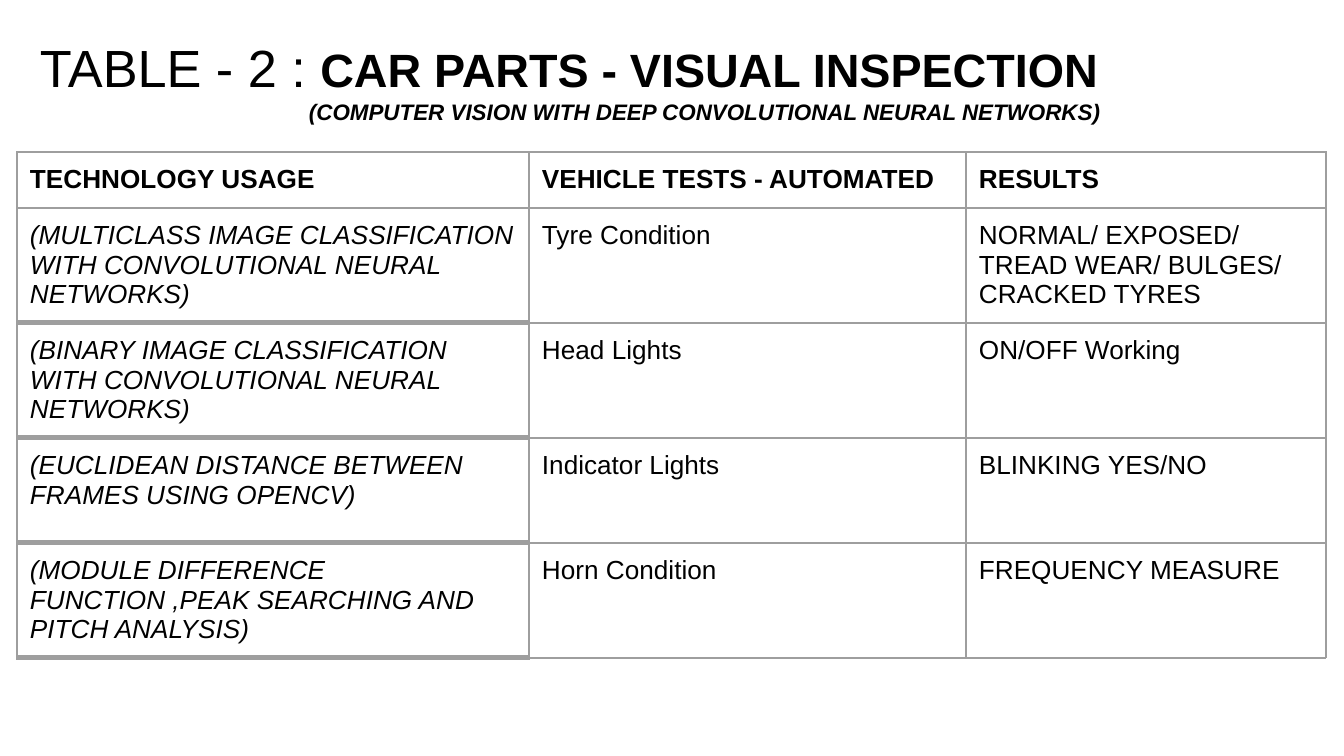
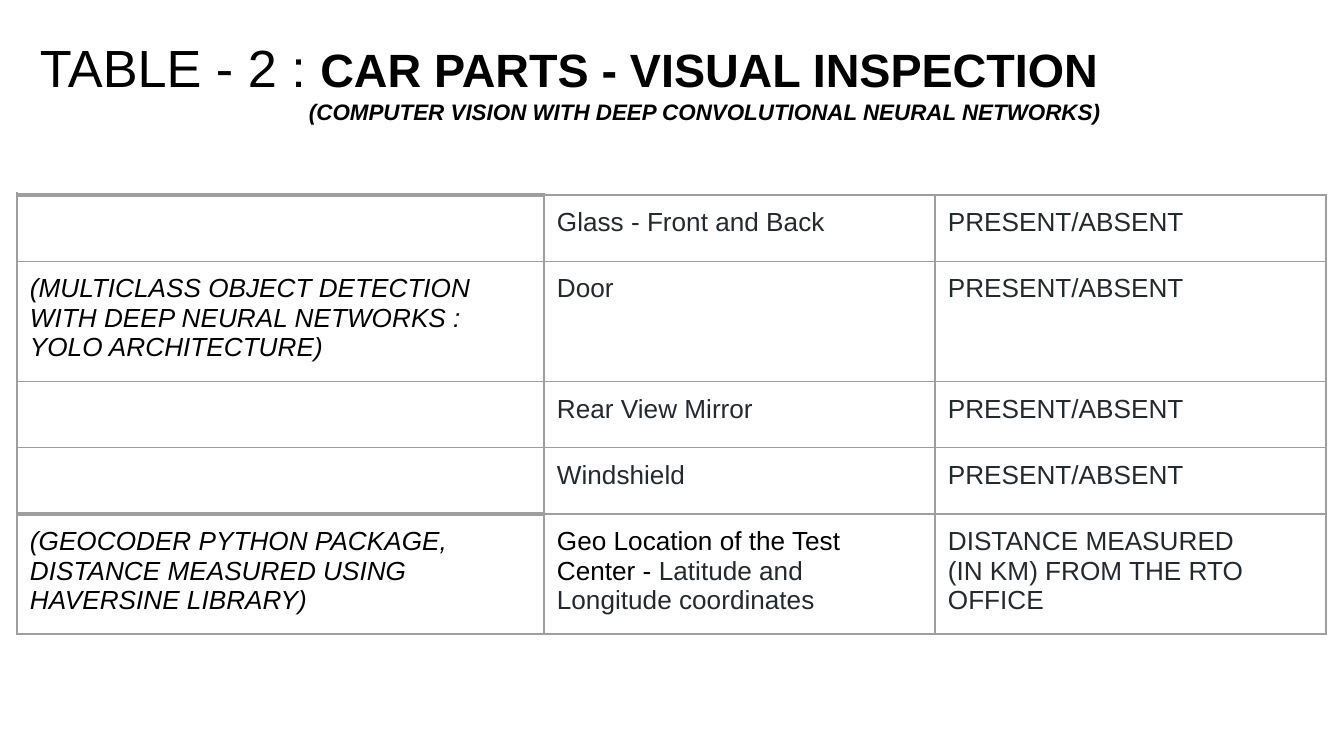
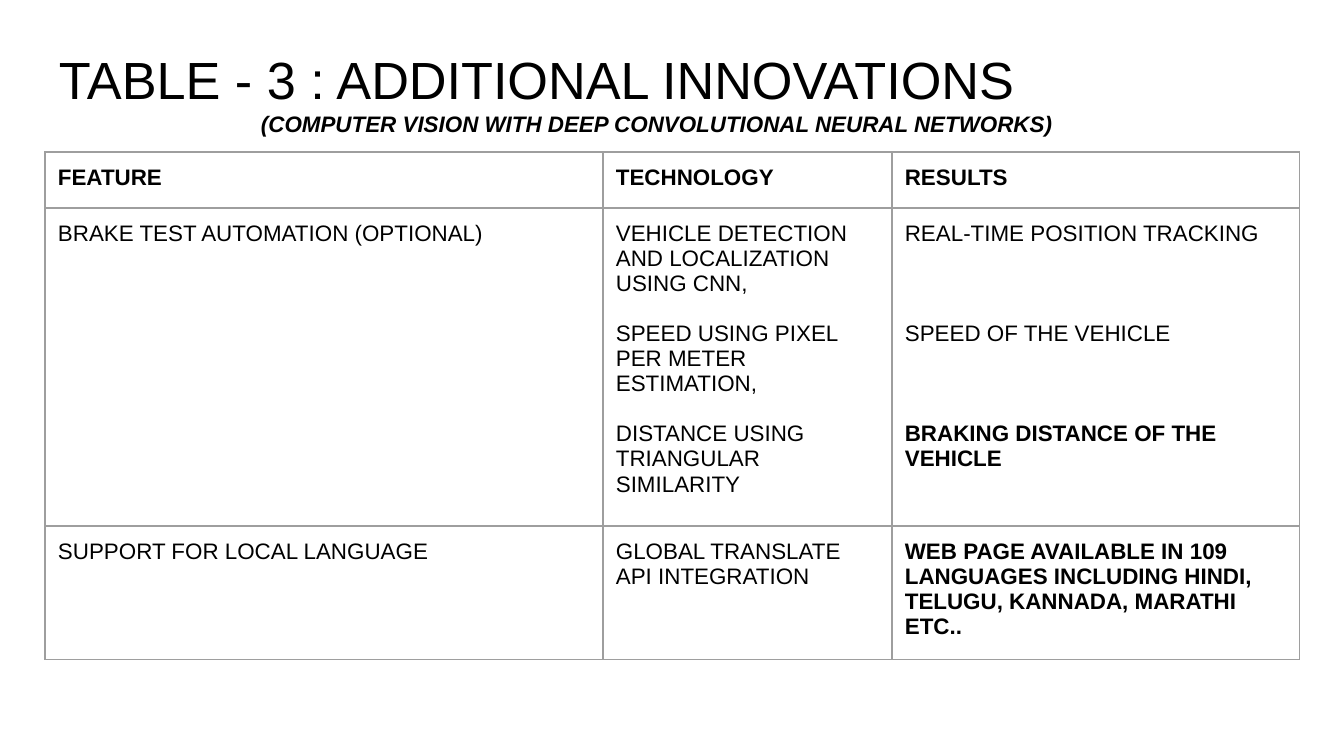
from lxml.etree import SubElement as Sub
from pptx import Presentation
from pptx.dml.color import RGBColor
from pptx.enum.text import MSO_ANCHOR as Anchor
from pptx.oxml.ns import qn
from pptx.util import Pt

SCALE = 914400 / 134.4
BLACK = RGBColor(0x00, 0x00, 0x00)
SLATE = RGBColor(0x24, 0x29, 0x2E)
GREY = RGBColor(0x9E, 0x9E, 0x9E)
FONT = "Arial"
PAD = 13
LINE = 13.4
NOTE = "(COMPUTER VISION WITH DEEP CONVOLUTIONAL NEURAL NETWORKS)"


def px(size):
    return round(size * SCALE)


def bit(text, **style):
    return text, style


def write(frame, text, size=14, bold=False, ital=False, ink=BLACK,
          gap=0, left=0, dent=0, join=False):
    para = frame.paragraphs[-1]
    if para.runs and not join:
        para = frame.add_paragraph()
    if gap:
        para.space_before = Pt(gap)
    if left:
        props = para._p.get_or_add_pPr()
        props.set("marL", str(px(left)))
        props.set("indent", str(px(dent)))
    run = para.add_run()
    run.text = text
    font = run.font
    font.name, font.size = FONT, Pt(size)
    font.bold, font.italic = bold, ital
    font.color.rgb = ink


class Deck:
    def __init__(self):
        self.show = Presentation()
        self.show.slide_width = px(1344)
        self.show.slide_height = px(756)
        self.slide = None

    def page(self):
        self.slide = self.show.slides.add_slide(self.show.slide_layouts[6])

    def title(self, box, *parts, dent=0):
        frame = self.slide.shapes.add_textbox(*map(px, box)).text_frame
        frame.word_wrap = True
        frame.vertical_anchor = Anchor.TOP
        frame.margin_left = frame.margin_right = frame.margin_bottom = px(PAD)
        frame.margin_top = px(20)
        for text, style in parts:
            write(frame, text, **style)
        write(frame, NOTE, size=12, bold=True, ital=True, left=202, dent=dent)

    def edge(self, cell, side, width):
        line = Sub(cell._tc.get_or_add_tcPr(), qn("a:ln" + side), w=str(Pt(width)))
        fill = Sub(line, qn("a:solidFill"))
        Sub(fill, qn("a:srgbClr"), val=str(GREY))

    def table(self, left, top, cols, rows, data, looks, head=False, heavy=()):
        area = map(px, (left, top, sum(cols), sum(rows)))
        grid = self.slide.shapes.add_table(len(rows), len(cols), *area).table
        grid.first_row = grid.horz_banding = False
        for col, wide in zip(grid.columns, cols):
            col.width = px(wide)
        for row, high in zip(grid.rows, rows):
            row.height = px(high)
        for r, line in enumerate(data):
            for c, parts in enumerate(line):
                cell = grid.cell(r, c)
                look = {**looks[c], "bold": True, "ital": False} if head and r == 0 else looks[c]
                self.cell(cell, parts, look)
                for side, rule in (("L", None), ("R", None), ("T", r), ("B", r + 1)):
                    self.edge(cell, side, 3 if c == 0 and rule in heavy else 0.75)
                cell.fill.background()

    def cell(self, cell, parts, look):
        cell.margin_left = cell.margin_right = px(PAD)
        cell.margin_top = cell.margin_bottom = px(PAD)
        cell.vertical_anchor = Anchor.TOP
        for part in [parts] if isinstance(parts, str) else parts:
            text, style = bit(part) if isinstance(part, str) else part
            if text:
                write(cell.text_frame, text, **{**look, **style})


def parts_title(deck):
    deck.title((27, 15, 1253, 106), bit("TABLE - 2 : ", size=28),
               bit("CAR PARTS - VISUAL INSPECTION", size=25, bold=True, join=True),
               dent=67)


def tests(deck):
    deck.page()
    deck.table(17, 152, (512, 437, 360), (56, 115, 115, 105, 115), [
        ("TECHNOLOGY USAGE", "VEHICLE TESTS - AUTOMATED", "RESULTS"),
        ("(MULTICLASS IMAGE CLASSIFICATION WITH CONVOLUTIONAL NEURAL NETWORKS)",
         "Tyre Condition", "NORMAL/ EXPOSED/ TREAD WEAR/ BULGES/ CRACKED TYRES"),
        ("(BINARY IMAGE CLASSIFICATION WITH CONVOLUTIONAL NEURAL NETWORKS)",
         "Head Lights", "ON/OFF Working"),
        ("(EUCLIDEAN DISTANCE BETWEEN FRAMES USING OPENCV)",
         "Indicator Lights", "BLINKING YES/NO"),
        ("(MODULE DIFFERENCE FUNCTION ,PEAK SEARCHING AND PITCH ANALYSIS)",
         "Horn Condition", "FREQUENCY MEASURE"),
    ], [{"ital": True}, {}, {}], head=True, heavy=(2, 3, 4, 5))
    parts_title(deck)


def body(deck):
    deck.page()
    found = "PRESENT/ABSENT"
    deck.table(17, 195, (527, 391, 391), (65, 115, 64, 64, 115), [
        ("", "Glass - Front and Back", found),
        ("(MULTICLASS OBJECT DETECTION WITH DEEP NEURAL NETWORKS : YOLO ARCHITECTURE)",
         "Door", found),
        ("", "Rear View Mirror", found),
        ("", "Windshield", found),
        ("(GEOCODER PYTHON PACKAGE, DISTANCE MEASURED USING HAVERSINE LIBRARY)",
         [bit("Geo Location of the Test Center - ", ink=BLACK),
          bit("Latitude and Longitude coordinates", join=True)],
         ["DISTANCE MEASURED", "(IN KM) FROM THE RTO OFFICE"]),
    ], [{"ital": True}, {"ink": SLATE}, {"ink": SLATE}], heavy=(0, 4))
    parts_title(deck)


def extras(deck):
    deck.page()
    deck.title((46, 27, 1253, 85), bit("TABLE - 3 : ADDITIONAL INNOVATIONS", size=28))
    deck.table(45, 152, (558, 289, 408), (56, 303, 127), [
        ("FEATURE", "TECHNOLOGY", "RESULTS"),
        ("BRAKE TEST AUTOMATION (OPTIONAL)",
         ["VEHICLE DETECTION AND LOCALIZATION USING CNN,",
          bit("SPEED USING PIXEL PER METER ESTIMATION,", gap=LINE),
          bit("DISTANCE USING TRIANGULAR SIMILARITY", gap=LINE)],
         ["REAL-TIME POSITION TRACKING",
          bit("SPEED OF THE VEHICLE", gap=3 * LINE),
          bit("BRAKING DISTANCE OF THE VEHICLE", gap=3 * LINE, bold=True)]),
        ("SUPPORT FOR LOCAL LANGUAGE", "GLOBAL TRANSLATE API INTEGRATION",
         [bit("WEB PAGE AVAILABLE IN 109 LANGUAGES INCLUDING HINDI, TELUGU, "
              "KANNADA, MARATHI ETC..", bold=True)]),
    ], [{"size": 12}] * 3, head=True)


def main():
    deck = Deck()
    for build in (tests, body, extras):
        build(deck)
    deck.show.save("out.pptx")


if __name__ == "__main__":
    main()
